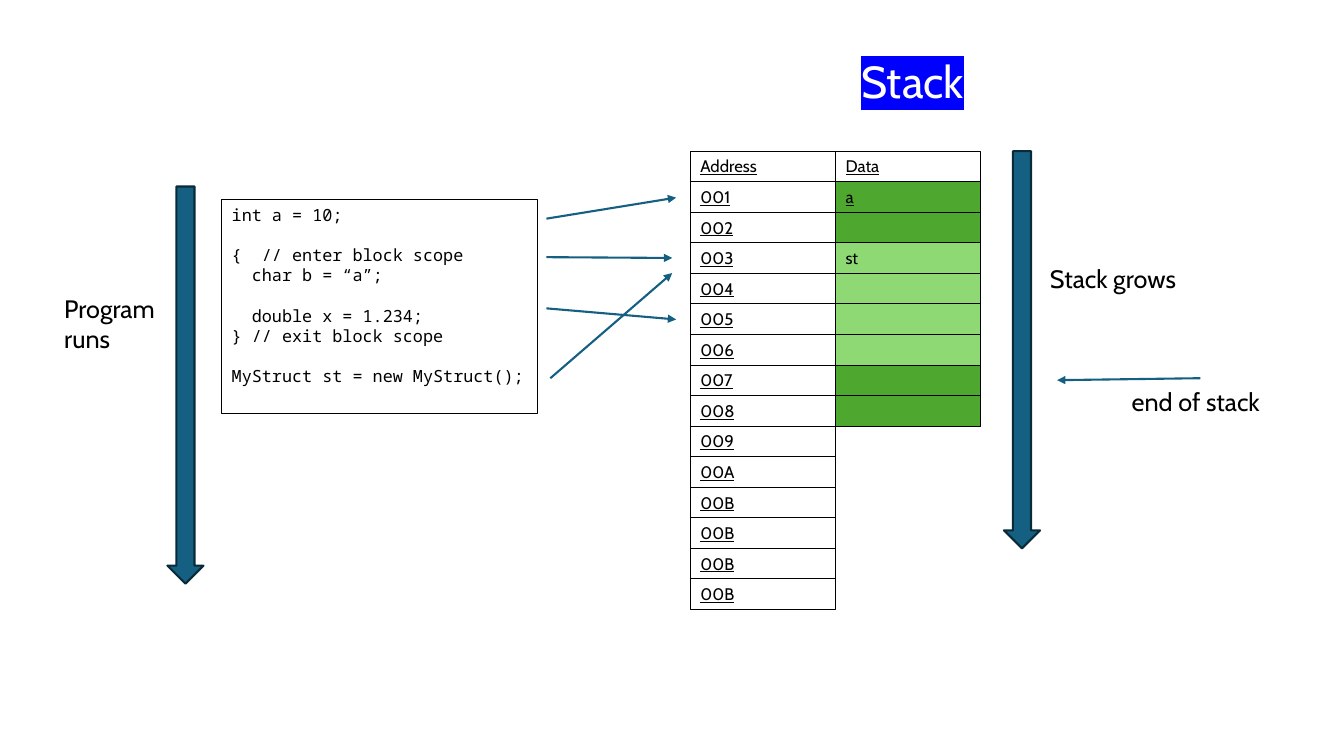
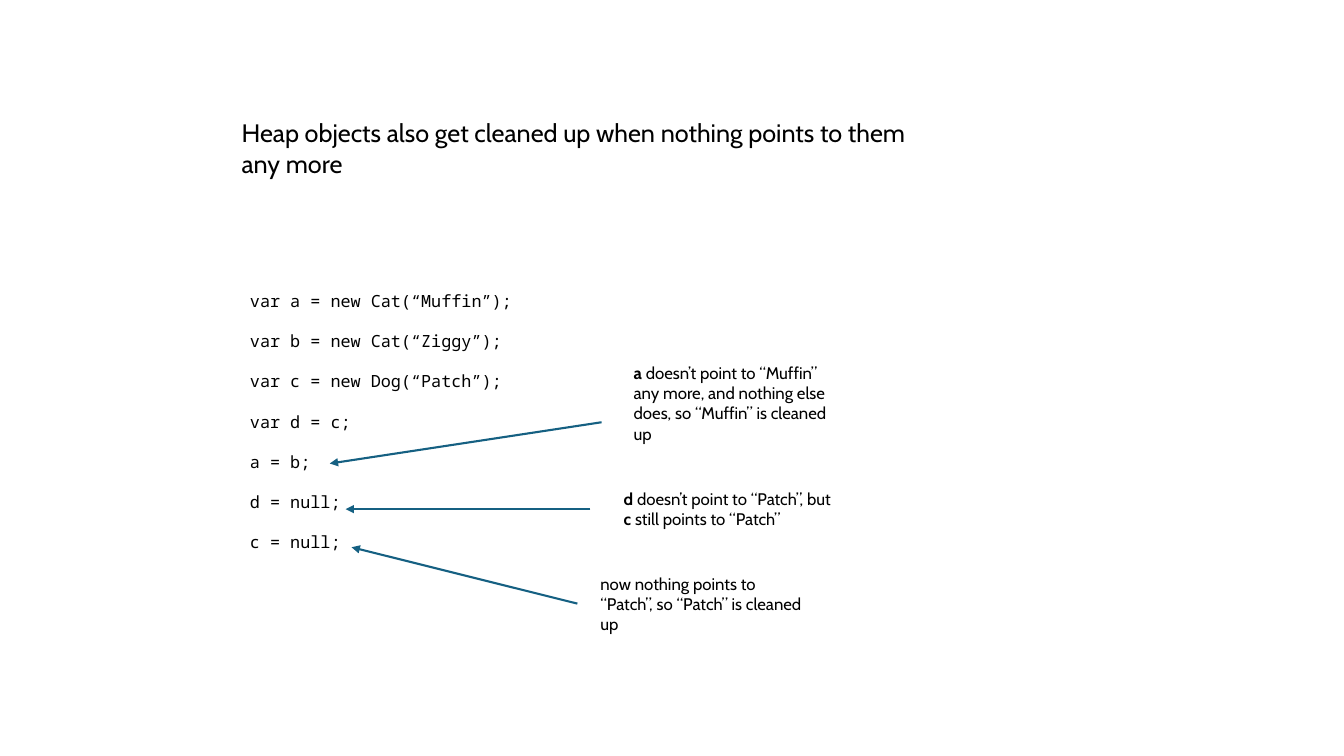
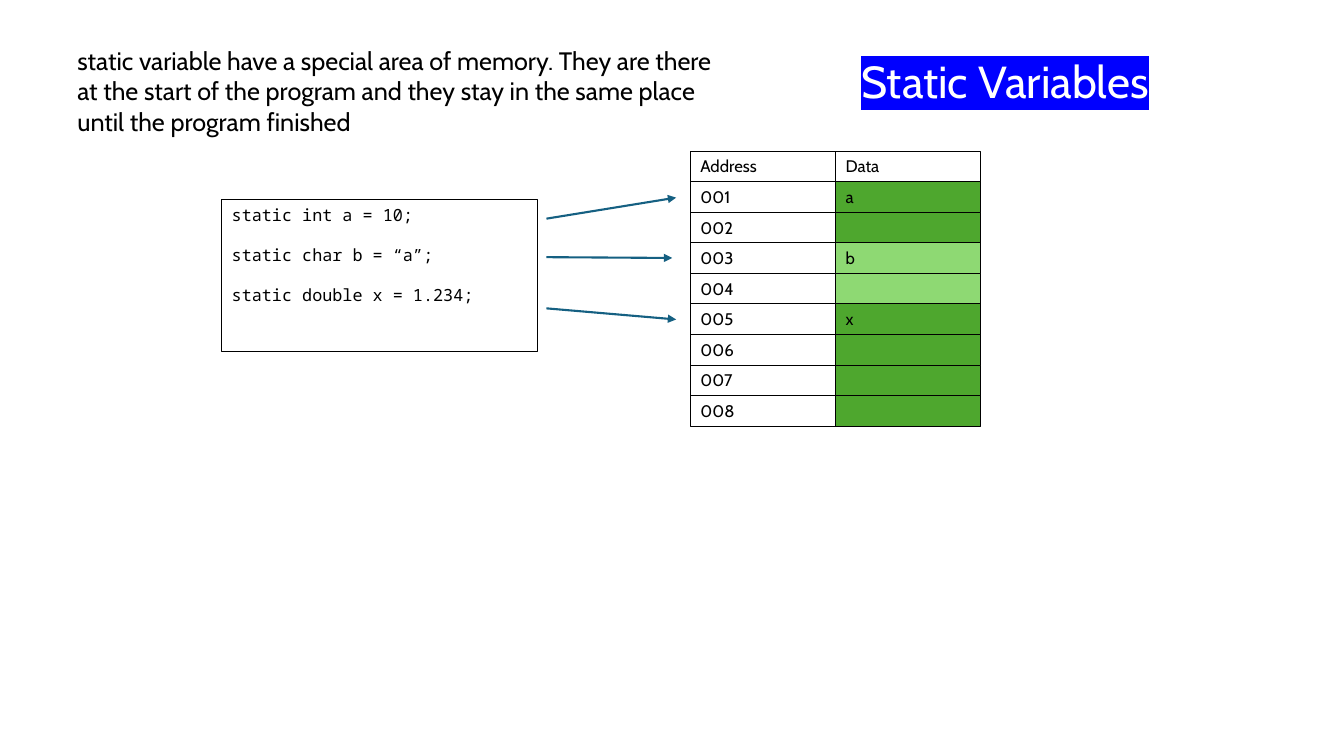
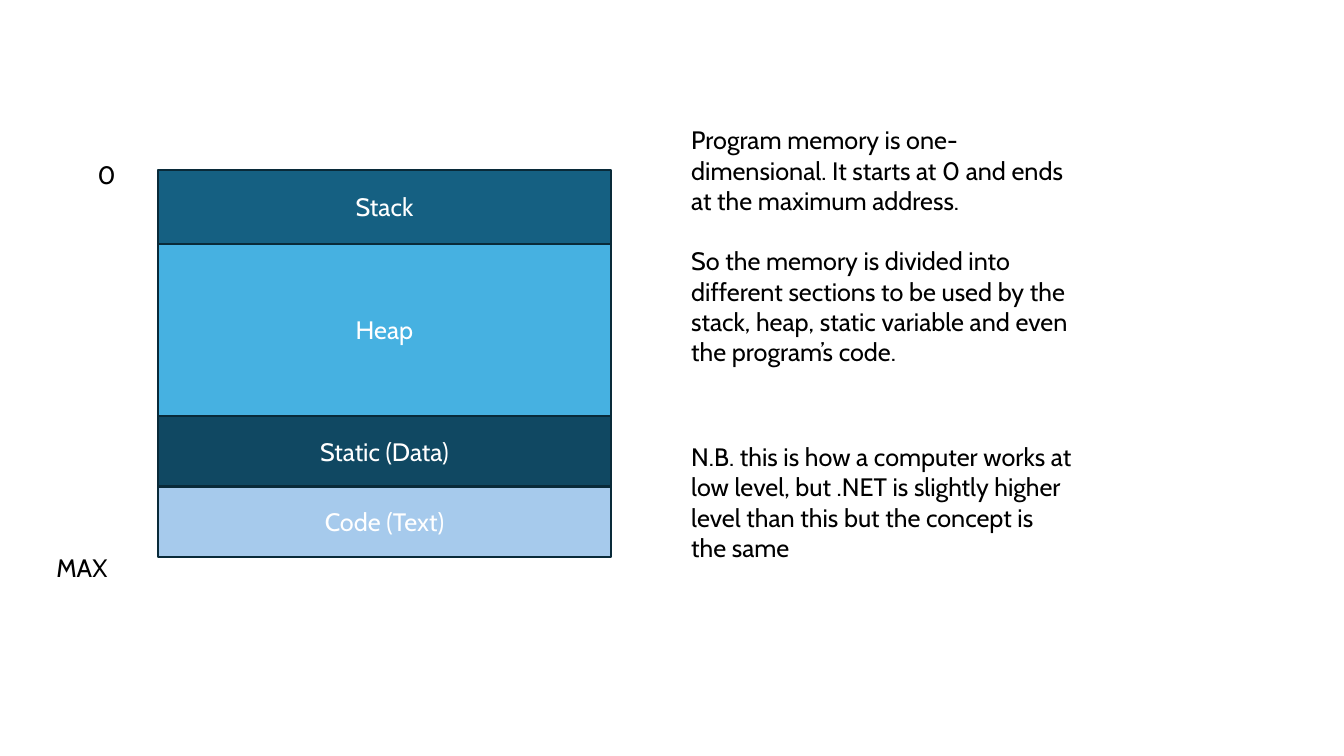
import pptx
import pptx.dml.color
import pptx.enum.shapes
import pptx.enum.text
import pptx.oxml
import pptx.oxml.ns
import pptx.util

Cm = pptx.util.Cm
Pt = pptx.util.Pt
qn = pptx.oxml.ns.qn
FORM = pptx.enum.shapes.MSO_SHAPE
ALIGN = pptx.enum.text.PP_ALIGN
ANCHOR = pptx.enum.text.MSO_ANCHOR

HUES = {
    "black": "000000", "white": "FFFFFF", "mark": "0000FF",
    "teal": "156082", "edge": "092A39", "sky": "46B1E1",
    "deep": "104862", "pale": "A6CAEC",
    "green": "4EA72E", "lime": "8ED973",
}
BODY = {"name": "Cabin", "size": Pt(18)}
NOTE = {"name": "Cabin", "size": Pt(12)}
LINK = {**NOTE, "underline": True}
CODE = {"name": "Noto Sans Mono", "size": Pt(12)}
HEAD = {"name": "Cabin", "size": Pt(32)}

STEPS = [
    (13.77, 6.48, 16.94, 6.5),
    (13.77, 5.51, 17.04, 4.98),
    (13.77, 7.77, 17.04, 8.05),
]


class Deck:
    def __init__(self):
        self.file = pptx.Presentation()
        self.file.slide_width = Cm(33.87)
        self.file.slide_height = Cm(19.05)
        self.page = None

    def start(self):
        self.page = self.file.slides.add_slide(self.file.slide_layouts[6])

    def hue(self, name):
        return pptx.dml.color.RGBColor.from_string(HUES[name])

    def label(self, shape, text, font, color="black", align=ALIGN.LEFT, anchor=ANCHOR.TOP):
        frame = shape.text_frame
        frame.word_wrap = True
        frame.vertical_anchor = anchor
        para, gap = frame.paragraphs[0], 0
        for row, line in enumerate(text.split("\n")):
            if not line:
                gap += 1
                continue
            if row:
                para = frame.add_paragraph()
            para.alignment = align
            para.space_before = int(font["size"] * 1.2 * gap)
            gap = 0
            words = line.lstrip()
            depth = len(line) - len(words)
            if depth:
                para._p.get_or_add_pPr().set("marL", str(int(font["size"] * 0.6 * depth)))
            for part, piece in enumerate(words.split("*")):
                if piece:
                    run = para.add_run()
                    run.text = piece
                    run.font.color.rgb = self.hue(color)
                    for key, value in {**font, "bold": part % 2 == 1}.items():
                        setattr(run.font, key, value)

    def text(self, x, y, w, h, text, font=BODY, color="black"):
        box = self.page.shapes.add_textbox(Cm(x), Cm(y), Cm(w), Cm(h))
        self.label(box, text, font, color)
        return box

    def title(self, text):
        box = self.text(21.46, 1.24, 7.98, 1.63, text, HEAD, "white")
        props = box.text_frame.paragraphs[0].runs[0]._r.get_or_add_rPr()
        mark = pptx.oxml.parse_xml(
            f'<a:highlight {pptx.oxml.ns.nsdecls("a")}>'
            f'<a:srgbClr val="{HUES["mark"]}"/></a:highlight>')
        props.find(qn("a:solidFill")).addnext(mark)

    def shape(self, x, y, w, h, fill=None, edge="black", width=0.75, form=FORM.RECTANGLE):
        shape = self.page.shapes.add_shape(form, Cm(x), Cm(y), Cm(w), Cm(h))
        shape.shadow.inherit = False
        if fill:
            shape.fill.solid()
            shape.fill.fore_color.rgb = self.hue(fill)
        else:
            shape.fill.background()
        shape.line.color.rgb = self.hue(edge)
        shape.line.width = Pt(width)
        return shape

    def code(self, h, text):
        self.label(self.shape(5.59, 5.03, 7.95, h), text, CODE)

    def down(self, x, y):
        self.shape(x, y, 0.91, 10.01, "teal", "edge", 1.5, FORM.DOWN_ARROW)

    def arrow(self, *ends):
        line = self.page.shapes.add_connector(
            pptx.enum.shapes.MSO_CONNECTOR.STRAIGHT, *map(Cm, ends))
        line.line.color.rgb = self.hue("teal")
        line.line.width = Pt(1.5)
        props = line._element.spPr
        tip = props.makeelement(qn("a:tailEnd"), {"type": "triangle"})
        props.find(qn("a:ln")).append(tip)
        props.append(props.makeelement(qn("a:effectLst"), {}))

    def cells(self, col, items):
        wide, high = 3.66, 0.77
        for row, (text, fill, font) in enumerate(items):
            cell = self.shape(17.4 + col * wide, 3.81 + row * high, wide, high, fill)
            if text:
                self.label(cell, text, font)

    def memory(self, marks, data, font):
        self.cells(0, [(mark, None, font) for mark in ["Address", *marks]])
        self.cells(1, [("Data", None, font), *data])


def stack(deck):
    deck.start()
    deck.title("Stack")
    deck.code(5.38, """int a = 10;

{  // enter block scope
  char b = “a”;

  double x = 1.234;
} // exit block scope

MyStruct st = new MyStruct();""")
    for ends in [*STEPS, (13.87, 9.53, 16.94, 6.88), (30.25, 9.53, 26.64, 9.58)]:
        deck.arrow(*ends)
    marks = [f"00{n}" for n in range(1, 10)] + ["00A"] + ["00B"] * 4
    green, lime = ("", "green", NOTE), ("", "lime", NOTE)
    data = [("a", "green", LINK), green, ("st", "lime", NOTE)] + [lime] * 3 + [green] * 2
    deck.memory(marks, data, LINK)
    deck.down(25.3, 3.81)
    deck.down(4.22, 4.7)
    deck.text(1.37, 7.26, 3.15, 1.8, "Program runs")
    deck.text(26.21, 6.5, 3.78, 1.8, "Stack grows")
    deck.text(28.27, 9.6, 3.78, 1.8, "end of stack")


def heap(deck):
    deck.start()
    deck.text(5.84, 2.84, 18.06, 1.8,
              "Heap objects also get cleaned up when nothing points to them any more")
    lines = ["var a = new Cat(“Muffin”);", "var b = new Cat(“Ziggy”);",
             "var c = new Dog(“Patch”);", "var d = c;", "a = b;", "d = null;", "c = null;"]
    deck.text(6.05, 7.19, 7.39, 6.93, "\n\n".join(lines), CODE)
    notes = [
        (15.72, 9.02, 2.31, "*a* doesn’t point to “Muffin” any more, and nothing else does, "
         "so “Muffin” is cleaned up", (15.16, 10.64, 8.31, 11.68)),
        (15.47, 12.19, 1.27, "*d* doesn’t point to “Patch”, but *c* still points to “Patch”",
         (14.88, 12.83, 8.71, 12.83)),
        (14.88, 14.33, 1.8, "now nothing points to “Patch”, so “Patch” is cleaned up",
         (14.55, 15.21, 8.86, 13.79)),
    ]
    for x, y, h, text, ends in notes:
        deck.text(x, y, 5.74, h, text, NOTE)
        deck.arrow(*ends)


def static(deck):
    deck.start()
    deck.title("Static Variables")
    deck.text(1.7, 1.02, 17.04, 2.57, """static variable have a special area of memory. They are there
at the start of the program and they stay in the same place
until the program finished""")
    deck.code(3.84, "static int a = 10;\n\nstatic char b = “a”;\n\nstatic double x = 1.234;")
    for ends in STEPS:
        deck.arrow(*ends)
    fills = ["green"] * 2 + ["lime"] * 2 + ["green"] * 4
    names = ["a", "", "b", "", "x", "", "", ""]
    data = [(name, fill, NOTE) for name, fill in zip(names, fills)]
    deck.memory([f"00{n}" for n in range(1, 9)], data, NOTE)


def layout(deck):
    deck.start()
    top = 4.29
    for name, high, fill in [("Stack", 1.85, "teal"), ("Heap", 4.34, "sky"),
                             ("Static (Data)", 1.78, "deep"), ("Code (Text)", 1.78, "pale")]:
        band = deck.shape(3.99, top, 11.4, high, fill, "edge", 1.5)
        deck.label(band, name, BODY, "white", ALIGN.CENTER, ANCHOR.MIDDLE)
        top += high
    deck.text(2.21, 3.89, 1.14, 1.02, "0")
    deck.text(1.17, 13.79, 2.18, 1.02, "MAX")
    deck.text(17.17, 3.02, 10.13, 6.4,
              "Program memory is one-dimensional. It starts at 0 and ends at the maximum "
              "address.\n\nSo the memory is divided into different sections to be used by "
              "the stack, heap, static variable and even the program’s code.")
    deck.text(17.17, 11, 10.13, 3.33,
              "N.B. this is how a computer works at low level, but .NET is slightly higher "
              "level than this but the concept is the same")


def main():
    deck = Deck()
    for build in (stack, heap, static, layout):
        build(deck)
    deck.file.save("out.pptx")


if __name__ == "__main__":
    main()
